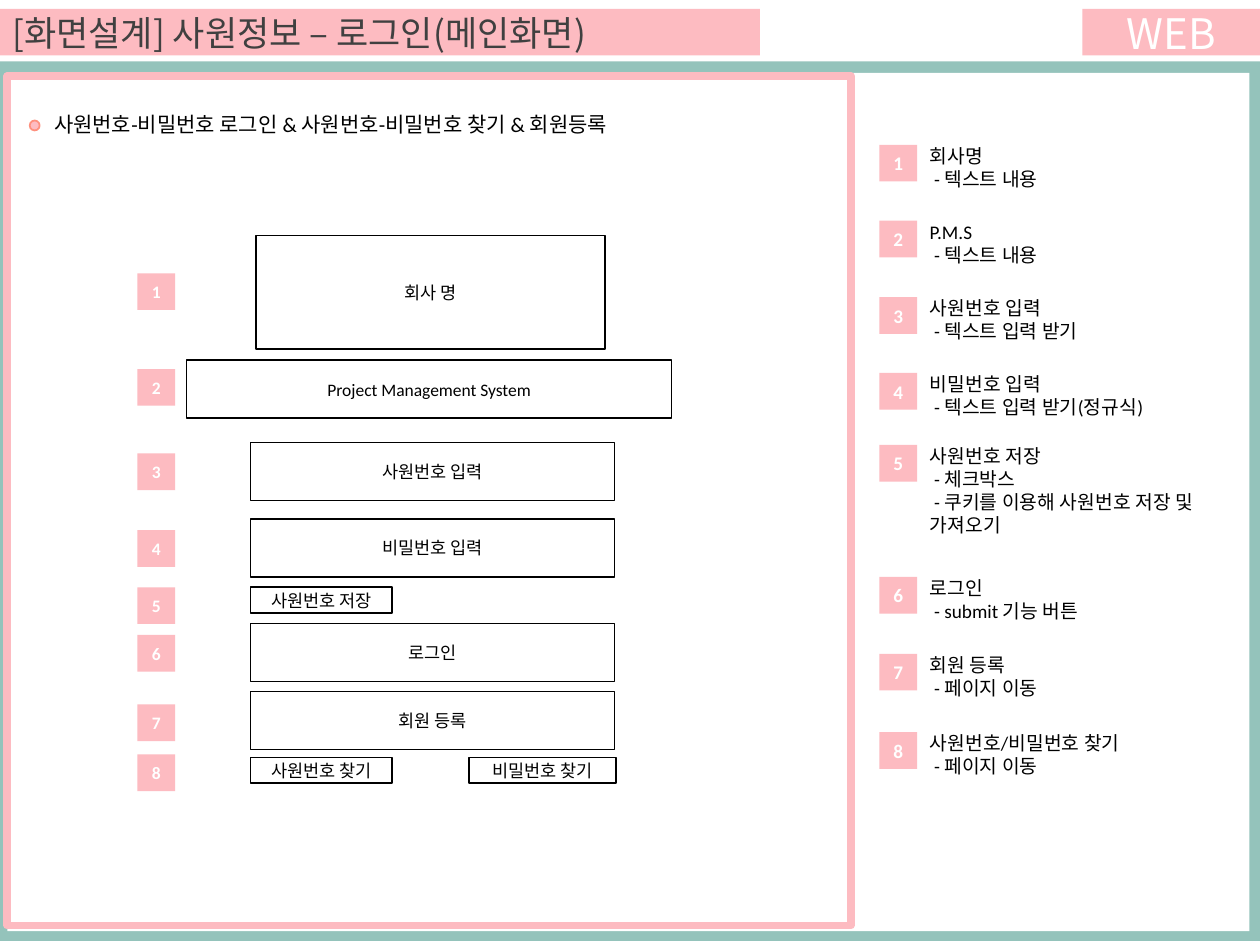
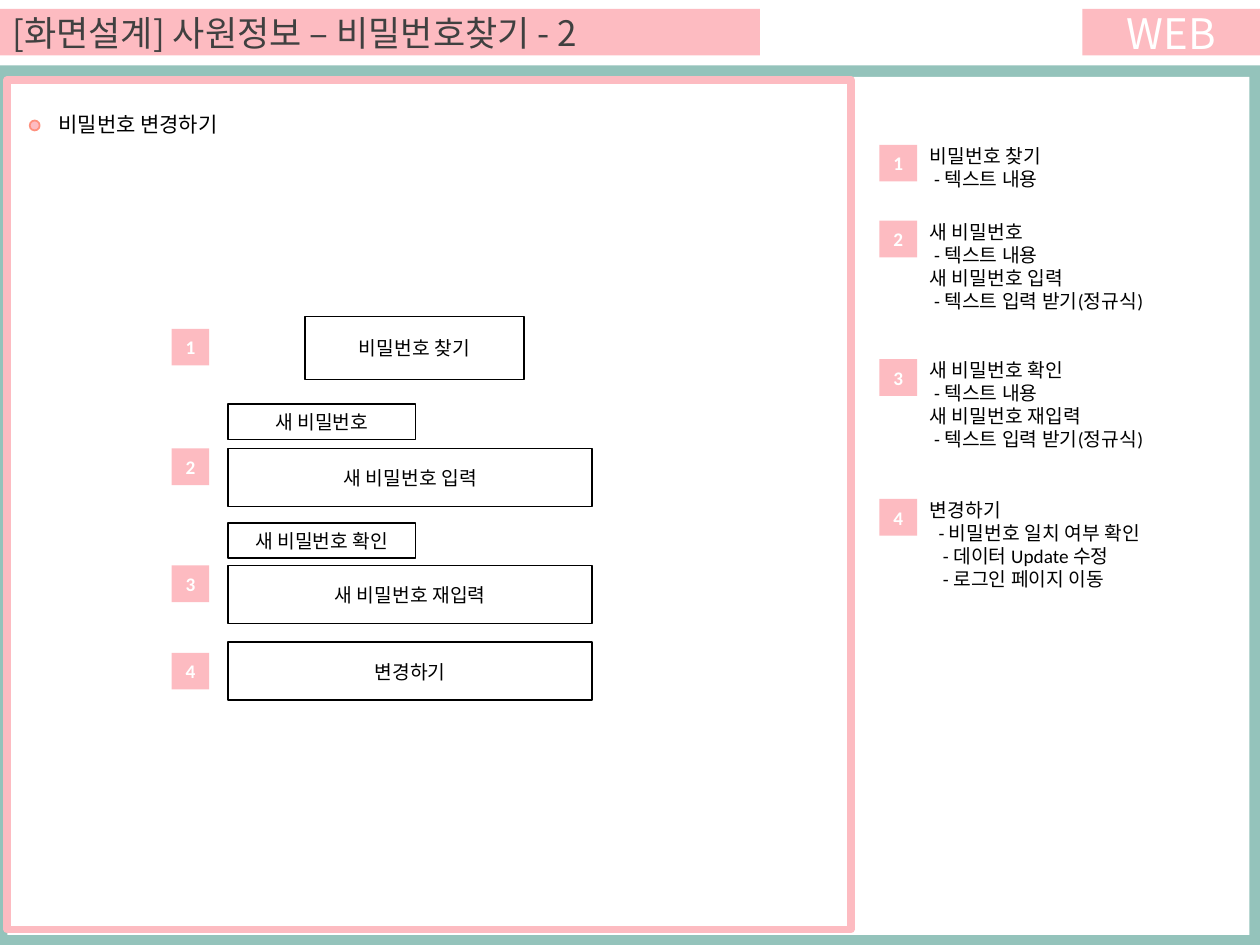
from lxml.etree import SubElement
from pptx import Presentation
from pptx.dml.color import RGBColor
from pptx.enum.shapes import MSO_SHAPE
from pptx.enum.text import MSO_ANCHOR, MSO_AUTO_SIZE, PP_ALIGN
from pptx.oxml.ns import qn
from pptx.util import Cm, Pt

COLORS = {
    "teal": "94C3BB",
    "pink": "FDBBC1",
    "coral": "FE907E",
    "white": "FFFFFF",
    "black": "000000",
    "gray": "404040",
}
HEADER_FONT = "Noto Sans CJK KR"
FORMATS = {
    "title": ({"size": Pt(20), "name": HEADER_FONT}, "gray"),
    "platform": ({"size": Pt(24), "name": HEADER_FONT}, "white"),
    "heading": ({"size": Pt(12), "name": "Calibri"}, "black"),
    "body": ({"size": Pt(11), "name": "Calibri"}, "black"),
    "small": ({"size": Pt(10), "name": "Calibri"}, "black"),
    "body badge": ({"size": Pt(11), "name": "Calibri", "bold": True}, "white"),
    "small badge": ({"size": Pt(10), "name": "Calibri", "bold": True}, "white"),
}
INDENT_STEP = 0.09

LOGIN_SCREEN = {
    "title": "[화면설계] 사원정보 – 로그인(메인화면)",
    "heading": "사원번호-비밀번호 로그인 & 사원번호-비밀번호 찾기 & 회원등록",
    "heading_steps": 0,
    "frame_top": 1.24,
    "style": "small",
    "badge_left": 2.77,
    "badge_tops": [5.51, 7.44, 9.14, 10.69, 11.84, 12.8, 14.2, 15.21],
    "fields": [
        ("회사 명", 5.16, 4.75, 7.04, 2.29),
        ("사원번호 입력", 5.05, 8.92, 7.34, 1.17),
        ("비밀번호 입력", 5.05, 10.46, 7.34, 1.17),
        ("로그인", 5.05, 12.57, 7.34, 1.17),
        ("회원 등록", 5.05, 13.94, 7.34, 1.17),
        ("사원번호 저장", 5.05, 11.84, 2.85, 0.52),
        ("사원번호 찾기", 5.05, 15.27, 2.85, 0.52),
        ("비밀번호 찾기", 9.45, 15.27, 2.97, 0.52),
        ("Project Management System", 3.76, 7.26, 9.78, 1.17),
    ],
    "notes": [
        (2.92, ["회사명", "- 텍스트 내용"]),
        (4.45, ["P.M.S", "- 텍스트 내용"]),
        (5.99, ["사원번호 입력", "- 텍스트 입력 받기"]),
        (7.52, ["비밀번호 입력", "- 텍스트 입력 받기(정규식)"]),
        (8.97, ["사원번호 저장", "- 체크박스",
                "- 쿠키를 이용해 사원번호 저장 및 가져오기"]),
        (11.63, ["로그인", "- submit 기능 버튼"]),
        (13.18, ["회원 등록", "- 페이지 이동"]),
        (14.76, ["사원번호/비밀번호 찾기", "- 페이지 이동"]),
    ],
}

PASSWORD_SCREEN = {
    "title": "[화면설계] 사원정보 – 비밀번호찾기 - 2",
    "heading": "비밀번호 변경하기",
    "heading_steps": 1,
    "frame_top": 1.32,
    "style": "body",
    "badge_left": 3.46,
    "badge_tops": [6.63, 9.04, 11.4, 13.16],
    "fields": [
        ("비밀번호 찾기", 6.15, 6.38, 4.42, 1.27),
        ("새 비밀번호 입력", 4.6, 9.04, 7.34, 1.17),
        ("새 비밀번호 재입력", 4.6, 11.4, 7.34, 1.17),
        ("변경하기", 4.6, 12.95, 7.34, 1.17),
        ("새 비밀번호", 4.6, 8.15, 3.78, 0.71),
        ("새 비밀번호 확인", 4.6, 10.54, 3.78, 0.71),
    ],
    "notes": [
        (2.92, ["비밀번호 찾기", "- 텍스트 내용"]),
        (4.45, ["새 비밀번호", "- 텍스트 내용",
                "새 비밀번호 입력", "- 텍스트 입력 받기(정규식)"]),
        (7.24, ["새 비밀번호 확인", "- 텍스트 내용",
                "새 비밀번호 재입력", "- 텍스트 입력 받기(정규식)"]),
        (10.06, ["변경하기", "- 비밀번호 일치 여부 확인",
                 "- 데이터 Update 수정", "- 로그인 페이지 이동"], [0, 2, 3, 3]),
    ],
}


class ScreenDesign:
    def __init__(self):
        self.presentation = Presentation()
        self.presentation.slide_width = Cm(25.4)
        self.presentation.slide_height = Cm(19.05)
        self.slide = None

    def color(self, name):
        return RGBColor.from_string(COLORS[name])

    def fill_paragraph(self, paragraph, text, style, steps=0):
        if steps:
            properties = paragraph._p.get_or_add_pPr()
            properties.set("marL", "0")
            properties.set("indent", str(Cm(steps * INDENT_STEP)))
        run = paragraph.add_run()
        run.text = text
        values, color = FORMATS[style]
        for attribute, value in values.items():
            setattr(run.font, attribute, value)
        run.font.color.rgb = self.color(color)
        SubElement(run._r.get_or_add_rPr(), qn("a:ea"), typeface=values["name"])

    def shape(self, left, top, width, height, fill=None, line=None,
              line_width=1, kind=MSO_SHAPE.RECTANGLE):
        shape = self.slide.shapes.add_shape(
            kind, Cm(left), Cm(top), Cm(width), Cm(height))
        shape.shadow.inherit = False
        if fill:
            shape.fill.solid()
            shape.fill.fore_color.rgb = self.color(fill)
        else:
            shape.fill.background()
        if line:
            shape.line.color.rgb = self.color(line)
            shape.line.width = Pt(line_width)
        else:
            shape.line.fill.background()
        return shape

    def label(self, shape, text, style, alignment=PP_ALIGN.CENTER):
        shape.text_frame.vertical_anchor = MSO_ANCHOR.MIDDLE
        paragraph = shape.text_frame.paragraphs[0]
        paragraph.alignment = alignment
        self.fill_paragraph(paragraph, text, style)

    def text(self, left, top, width, height, lines, style, steps):
        box = self.slide.shapes.add_textbox(
            Cm(left), Cm(top), Cm(width), Cm(height))
        frame = box.text_frame
        frame.word_wrap = True
        frame.auto_size = MSO_AUTO_SIZE.SHAPE_TO_FIT_TEXT
        for index, line in enumerate(lines):
            paragraph = frame.add_paragraph() if index else frame.paragraphs[0]
            self.fill_paragraph(paragraph, line, style, steps[index])

    def frame(self, top):
        self.shape(0, top, 25.4, 17.73, "teal")
        self.shape(0.15, top + 0.23, 25.04, 17.3, "white")
        self.shape(0.15, top + 0.3, 17, 17.12, line="pink", line_width=4.5)

    def header(self, title):
        self.label(self.shape(0, 0.18, 15.32, 0.94, "pink"),
                   title, "title", PP_ALIGN.LEFT)
        self.label(self.shape(21.82, 0.18, 3.58, 0.94, "pink"), "WEB", "platform")

    def heading(self, text, steps):
        self.shape(0.6, 2.43, 0.2, 0.2, "pink", "coral", kind=MSO_SHAPE.OVAL)
        self.text(0.84, 2.13, 13.16, 0.76, [text], "heading", [steps])

    def badge(self, number, left, top, style):
        self.label(self.shape(left, top, 0.76, 0.74, "pink"),
                   str(number), style + " badge")

    def field(self, text, left, top, width, height, style):
        self.label(self.shape(left, top, width, height, "white", "black"),
                   text, style)

    def note(self, number, top, lines, steps=None):
        steps = steps or [int(line.startswith("-")) for line in lines]
        self.badge(number, 17.73, top, "body")
        self.text(18.49, top - 0.14, 6.73, 0.25 + 0.47 * len(lines),
                  lines, "body", steps)

    def screen(self, content):
        self.slide = self.presentation.slides.add_slide(
            self.presentation.slide_layouts[6])
        self.frame(content["frame_top"])
        self.header(content["title"])
        self.heading(content["heading"], content["heading_steps"])
        for number, top in enumerate(content["badge_tops"], 1):
            self.badge(number, content["badge_left"], top, content["style"])
        for field in content["fields"]:
            self.field(*field, content["style"])
        for number, note in enumerate(content["notes"], 1):
            self.note(number, *note)


def main():
    design = ScreenDesign()
    for content in (LOGIN_SCREEN, PASSWORD_SCREEN):
        design.screen(content)
    design.presentation.save("out.pptx")


if __name__ == "__main__":
    main()
